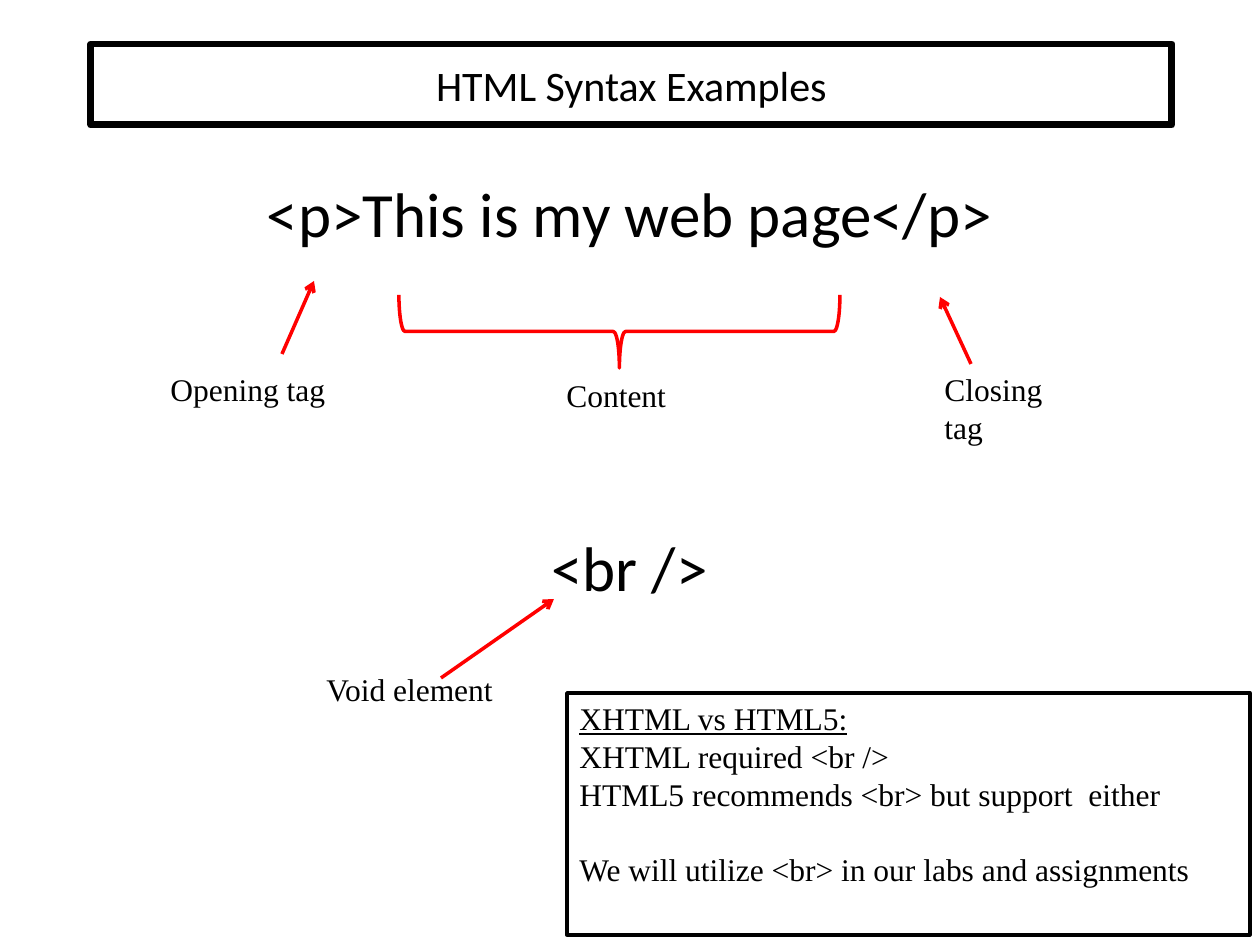
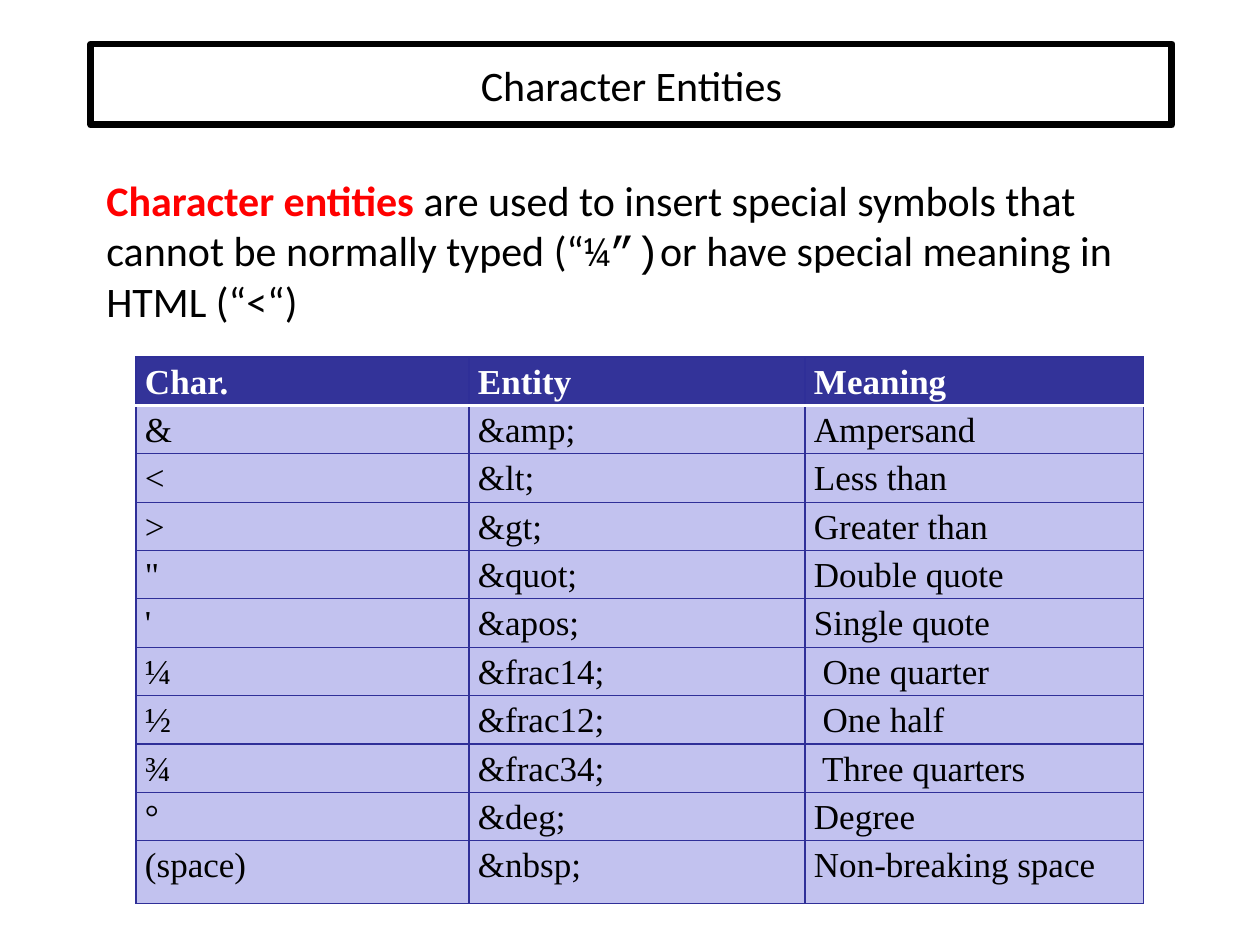
import pptx
import pptx.dml.color
import pptx.enum.shapes
import pptx.enum.text
import pptx.oxml
import pptx.oxml.ns
import pptx.util
from lxml import etree

# ---- Content ----
COLORS = {"ink": "000000", "paper": "FFFFFF", "accent": "FF0000",
          "header": "333399", "row": "C2C2EF", "grid": "2F2F98"}
SANS, SERIF, MONO = "Calibri", "Times New Roman", "Courier New"

SYNTAX_TITLE = "HTML Syntax Examples"
# text, top; all share the body column
CODE_SAMPLES = [("<p>This is my web page</p>", 168), ("<br />", 522)]
# text, (left, top, width, height)
LABELS = [
    ("Opening tag", (158, 364, 183, 50)),
    ("Closing tag", (932, 364, 166, 50)),
    ("Content", (554, 370, 129, 50)),
    ("Void element", (314, 664, 198, 50)),
]
# start, end
ARROWS = [
    ((282, 354), (314, 281)),
    ((971, 364), (940, 297)),
    ((441, 678), (554, 599)),
]
CONTENT_BRACE = (583, 111, 73, 441)
NOTE_BOX = (567, 693, 683, 242)
# text, underlined, points before
NOTE_LINES = [
    ("XHTML vs HTML5:", True, 0),
    ("XHTML required <br />", False, 0),
    ("HTML5 recommends <br> but support  either", False, 0),
    ("We will utilize <br> in our labs and assignments", False, 21.5),
]

ENTITIES_TITLE = "Character Entities"
# text, font, colour, bold
INTRO = [
    ("Character entities ", SANS, "accent", True),
    ("are used to insert special symbols that cannot be normally typed (“",
     SANS, "ink", False),
    ("¼”)", MONO, "ink", False),
    ("or have special meaning in HTML (“<“)", SANS, "ink", False),
]
ENTITIES = [
    ("Char.", "Entity", "Meaning"),
    ("&", "&amp;", "Ampersand"),
    ("<", "&lt;", "Less than"),
    (">", "&gt;", "Greater than"),
    ('"', "&quot;", "Double quote"),
    ("'", "&apos;", "Single quote"),
    ("¼", "&frac14;", " One quarter"),
    ("½", "&frac12;", " One half"),
    ("¾", "&frac34;", " Three quarters"),
    ("°", "&deg;", "Degree"),
    ("(space)", "&nbsp;", "Non-breaking space"),
]

# ---- Layout ----
PX = 914400 / 126
TITLE_BOX = (91, 44, 1081, 81)
BODY_LEFT, BODY_TOP, BODY_WIDTH = 94, 168, 1071
TABLE_LEFT, TABLE_TOP = 136, 357
COLUMN_WIDTHS = [333, 336, 339]
ROW_HEIGHTS = [44] + [45] * (len(ENTITIES) - 2) + [63]
CELL_INSET = 9


def emu(*lengths):
    return [pptx.util.Emu(round(n * PX)) for n in lengths]


def rgb(name):
    return pptx.dml.color.RGBColor.from_string(COLORS[name])


def add_run(paragraph, text, size, font, color="ink", bold=False, underline=False):
    run = paragraph.add_run()
    run.text = text
    run.font.size = pptx.util.Pt(size)
    run.font.name = font
    run.font.bold = bold
    run.font.underline = underline
    run.font.color.rgb = rgb(color)


def add_text_box(slide, box):
    frame = slide.shapes.add_textbox(*emu(*box)).text_frame
    frame.word_wrap = True
    return frame.paragraphs[0]


def add_outline(slide, preset, box, color, weight, fill=None):
    outline = slide.shapes.add_shape(preset, *emu(*box))
    outline.shadow.inherit = False
    if fill:
        outline.fill.solid()
        outline.fill.fore_color.rgb = rgb(fill)
    else:
        outline.fill.background()
    outline.line.color.rgb = rgb(color)
    outline.line.width = pptx.util.Pt(weight)
    return outline


def add_titled_slide(deck, title):
    slide = deck.slides.add_slide(deck.slide_layouts[6])
    banner = add_outline(slide, pptx.enum.shapes.MSO_SHAPE.RECTANGLE, TITLE_BOX,
                         "ink", 4, "paper")
    frame = banner.text_frame
    frame.word_wrap = True
    frame.vertical_anchor = pptx.enum.text.MSO_ANCHOR.MIDDLE
    frame.paragraphs[0].alignment = pptx.enum.text.PP_ALIGN.CENTER
    add_run(frame.paragraphs[0], title, 24, SANS)
    return slide


def add_arrow(slide, start, end):
    arrow = slide.shapes.add_connector(
        pptx.enum.shapes.MSO_CONNECTOR.STRAIGHT, *emu(*start, *end))
    arrow.line.color.rgb = rgb("accent")
    arrow.line.width = pptx.util.Pt(2)
    etree.SubElement(arrow.line._get_or_add_ln(),
                     pptx.oxml.ns.qn("a:tailEnd"), type="arrow")
    etree.SubElement(arrow._element.spPr, pptx.oxml.ns.qn("a:effectLst"))


def set_borders(cell, borders):
    """Draw the four sides, given as (colour, points) in L, R, T, B order."""
    properties = cell._tc.get_or_add_tcPr()
    for position, (side, (color, weight)) in enumerate(zip("LRTB", borders)):
        properties.insert(position, pptx.oxml.parse_xml(
            f'<a:ln{side} {pptx.oxml.ns.nsdecls("a")} w="{round(weight * 12700)}">'
            f'<a:solidFill><a:srgbClr val="{COLORS[color]}"/></a:solidFill>'
            f'</a:ln{side}>'))


def build_syntax(deck):
    slide = add_titled_slide(deck, SYNTAX_TITLE)

    # Code samples
    for code, top in CODE_SAMPLES:
        paragraph = add_text_box(slide, (BODY_LEFT, top, BODY_WIDTH, 90))
        paragraph.alignment = pptx.enum.text.PP_ALIGN.CENTER
        add_run(paragraph, code, 36, SANS)

    # Labels and pointers
    for label, box in LABELS:
        add_run(add_text_box(slide, box), label, 18, SERIF)
    for start, end in ARROWS:
        add_arrow(slide, start, end)
    brace = add_outline(slide, pptx.enum.shapes.MSO_SHAPE.LEFT_BRACE,
                        CONTENT_BRACE, "accent", 2)
    brace.rotation = 270

    # Comparison note
    note = add_outline(slide, pptx.enum.shapes.MSO_SHAPE.RECTANGLE, NOTE_BOX, "ink", 2)
    frame = note.text_frame
    frame.word_wrap = True
    frame.vertical_anchor = pptx.enum.text.MSO_ANCHOR.TOP
    for index, (text, underline, before) in enumerate(NOTE_LINES):
        paragraph = frame.add_paragraph() if index else frame.paragraphs[0]
        paragraph.alignment = pptx.enum.text.PP_ALIGN.LEFT
        if before:
            paragraph.space_before = pptx.util.Pt(before)
        add_run(paragraph, text, 18, SERIF, underline=underline)


def build_entities(deck):
    slide = add_titled_slide(deck, ENTITIES_TITLE)

    # Introduction
    intro = add_text_box(slide, (BODY_LEFT, BODY_TOP, BODY_WIDTH, 170))
    for text, font, color, bold in INTRO:
        add_run(intro, text, 24, font, color, bold)

    # Entity table
    table = slide.shapes.add_table(
        len(ENTITIES), len(COLUMN_WIDTHS),
        *emu(TABLE_LEFT, TABLE_TOP, sum(COLUMN_WIDTHS), sum(ROW_HEIGHTS))).table
    for column, width in zip(table.columns, emu(*COLUMN_WIDTHS)):
        column.width = width
    for row, height in zip(table.rows, emu(*ROW_HEIGHTS)):
        row.height = height

    grid, rule = ("grid", 0.75), ("paper", 2)
    for r, entry in enumerate(ENTITIES):
        is_header = r == 0
        for c, text in enumerate(entry):
            cell = table.cell(r, c)
            cell.margin_left, cell.margin_right = emu(CELL_INSET, CELL_INSET)
            cell.margin_top = cell.margin_bottom = 0
            cell.fill.solid()
            cell.fill.fore_color.rgb = rgb("header" if is_header else "row")
            set_borders(cell, (grid, grid, rule if r == 1 else grid,
                               rule if is_header else grid))
            paragraph = cell.text_frame.paragraphs[0]
            paragraph.line_spacing = 1.15
            add_run(paragraph, text, 20, SERIF,
                    "paper" if is_header else "ink", is_header)


def main():
    deck = pptx.Presentation()
    deck.slide_width, deck.slide_height = emu(1260, 945)
    build_syntax(deck)
    build_entities(deck)
    deck.save("out.pptx")


if __name__ == "__main__":
    main()
